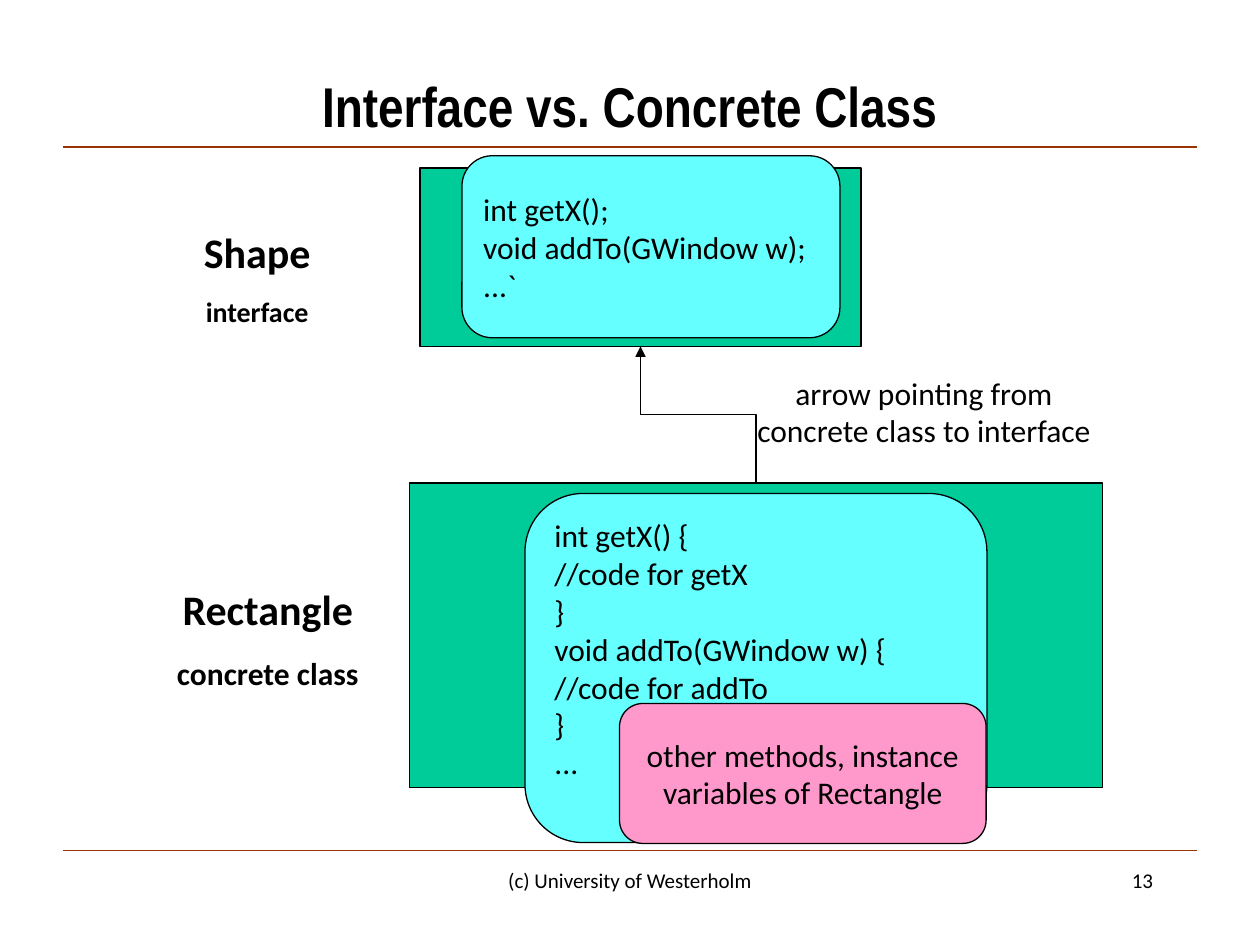
from collections import namedtuple

from lxml import etree
from pptx import Presentation
from pptx import util as u
from pptx.dml.color import RGBColor
from pptx.enum import shapes, text
from pptx.oxml import ns

Pt = u.Pt
Box = namedtuple("Box", "left top width height")

BLACK = RGBColor(0x00, 0x00, 0x00)
RUST = RGBColor(0x99, 0x33, 0x00)
GREEN = RGBColor(0x00, 0xCC, 0x99)
CYAN = RGBColor(0x66, 0xFF, 0xFF)
PINK = RGBColor(0xFF, 0x99, 0xCC)
LEFT, CENTER, RIGHT = text.PP_ALIGN.LEFT, text.PP_ALIGN.CENTER, text.PP_ALIGN.RIGHT
MIDDLE = text.MSO_ANCHOR.MIDDLE
RECTANGLE = shapes.MSO_SHAPE.RECTANGLE
ROUNDED = shapes.MSO_SHAPE.ROUNDED_RECTANGLE


def inside(box, left, top, width, height):
    """Return a box whose corner is offset from the corner of another."""
    return Box(box.left + left, box.top + top, width, height)


def points(box):
    """Return the four measures of a box as lengths."""
    return [Pt(value) for value in box]


def write(frame, lines, align=LEFT, size=18, bold=False, before=0, name="Calibri"):
    """Fill a text frame with one paragraph for each line."""
    frame.word_wrap = True
    for index, line in enumerate(lines):
        para = frame.paragraphs[0] if index == 0 else frame.add_paragraph()
        para.text = line
        para.alignment = align
        para.space_before = Pt(before)
        para.font.name, para.font.size, para.font.bold = name, Pt(size), bold
        para.font.color.rgb = BLACK


def add_label(page, box, lines, **style):
    """Add a plain text box and return its frame."""
    frame = page.shapes.add_textbox(*points(box)).text_frame
    write(frame, lines, **style)
    return frame


def add_panel(page, box, kind, fill):
    """Add a filled shape with a thin black outline."""
    panel = page.shapes.add_shape(kind, *points(box))
    panel.shadow.inherit = False
    panel.fill.solid()
    panel.fill.fore_color.rgb = fill
    panel.line.color.rgb = BLACK
    panel.line.width = Pt(0.75)
    panel.text_frame.vertical_anchor = MIDDLE
    return panel


def add_line(page, kind, start, end, color):
    """Add a thin connector without a shadow."""
    line = page.shapes.add_connector(kind, *points(start + end))
    line.line.color.rgb = color
    line.line.width = Pt(0.75)
    etree.SubElement(line._element.spPr, ns.qn("a:effectLst"))
    return line


def add_frame(page, box):
    """Place the title, the two rules and the footer within the margins."""
    title = page.shapes.title
    title.left, title.top, title.width, title.height = points(
        Box(box.left, box.top, box.width, 48))
    title.text_frame.vertical_anchor = MIDDLE
    write(title.text_frame, ["Interface vs. Concrete Class"], align=CENTER,
          size=32, bold=True, name="Arial Narrow")
    for top in (box.top + 48, box.top + box.height):
        add_line(page, shapes.MSO_CONNECTOR.STRAIGHT, (box.left, top),
                 (box.left + box.width, top), RUST)
    add_label(page, inside(box, 210, box.height + 6, 228, 36),
              ["(c) University of Westerholm"], align=CENTER, size=12)
    add_label(page, inside(box, 480, box.height + 6, 150, 36),
              ["13"], align=RIGHT, size=12)


def add_class(page, box, label, names, name_size, code_box, code, spare=0):
    """Draw a class panel with its name at the left and its code on top."""
    add_panel(page, box, RECTANGLE, GREEN)
    frame = add_label(page, label, names, align=CENTER, size=24, bold=True, before=15)
    kind = frame.paragraphs[1]
    kind.font.size = Pt(name_size)
    kind.space_before = Pt(name_size * 0.625)
    frame = add_panel(page, code_box, ROUNDED, CYAN).text_frame
    frame.margin_bottom = Pt(3.6 + spare)
    write(frame, code)


def add_extras(page, box):
    """Draw the panel of members that belong to the concrete class alone."""
    panel = add_panel(page, box, ROUNDED, PINK)
    write(panel.text_frame, ["other methods, instance variables of Rectangle"],
          align=CENTER)


def add_arrow(page, child, parent):
    """Draw an elbow arrow from the top of one box to the bottom of another."""
    start = (child.left + child.width / 2, child.top)
    end = (parent.left + parent.width / 2, parent.top + parent.height)
    middle_x, middle_y = (start[0] + end[0]) / 2, (start[1] + end[1]) / 2
    half_run, half_rise = (start[1] - end[1]) / 2, (start[0] - end[0]) / 2
    arrow = add_line(page, shapes.MSO_CONNECTOR.ELBOW,
                     (middle_x - half_run, middle_y + half_rise),
                     (middle_x + half_run, middle_y - half_rise), BLACK)
    arrow._element.spPr.find(ns.qn("a:xfrm")).set("rot", str(270 * 60000))
    etree.SubElement(arrow.line._get_or_add_ln(), ns.qn("a:tailEnd"), type="triangle")


def main():
    """Build the slide and save it."""
    deck = Presentation()
    deck.slide_width, deck.slide_height = Pt(720), Pt(540)
    page = deck.slides.add_slide(deck.slide_layouts[5])
    interface = Box(240, 96, 252, 102)
    concrete = Box(234, 276, 396, 174)

    add_frame(page, Box(36, 36, 648, 450))
    add_arrow(page, concrete, interface)
    add_class(page, interface, inside(interface, -174, 30, 162, 65.5),
              ["Shape", "interface"], 16, inside(interface, 24, -7, 216, 104),
              ["int getX();", "void addTo(GWindow w);", "...`"])
    add_class(page, concrete, inside(concrete, -162, 54, 162, 69),
              ["Rectangle", "concrete class"], 18, inside(concrete, 66, 6, 264, 199.5),
              ["int getX() {", "//code for getX", "}", "void addTo(GWindow w) {",
               "//code for addTo", "}", "..."], spare=22)
    add_extras(page, inside(concrete, 120, 126, 209.5, 80))
    add_label(page, Box(420, 210, 216, 72),
              ["arrow pointing from concrete class to interface"],
              align=CENTER, before=11.2)
    deck.save("out.pptx")


if __name__ == "__main__":
    main()
